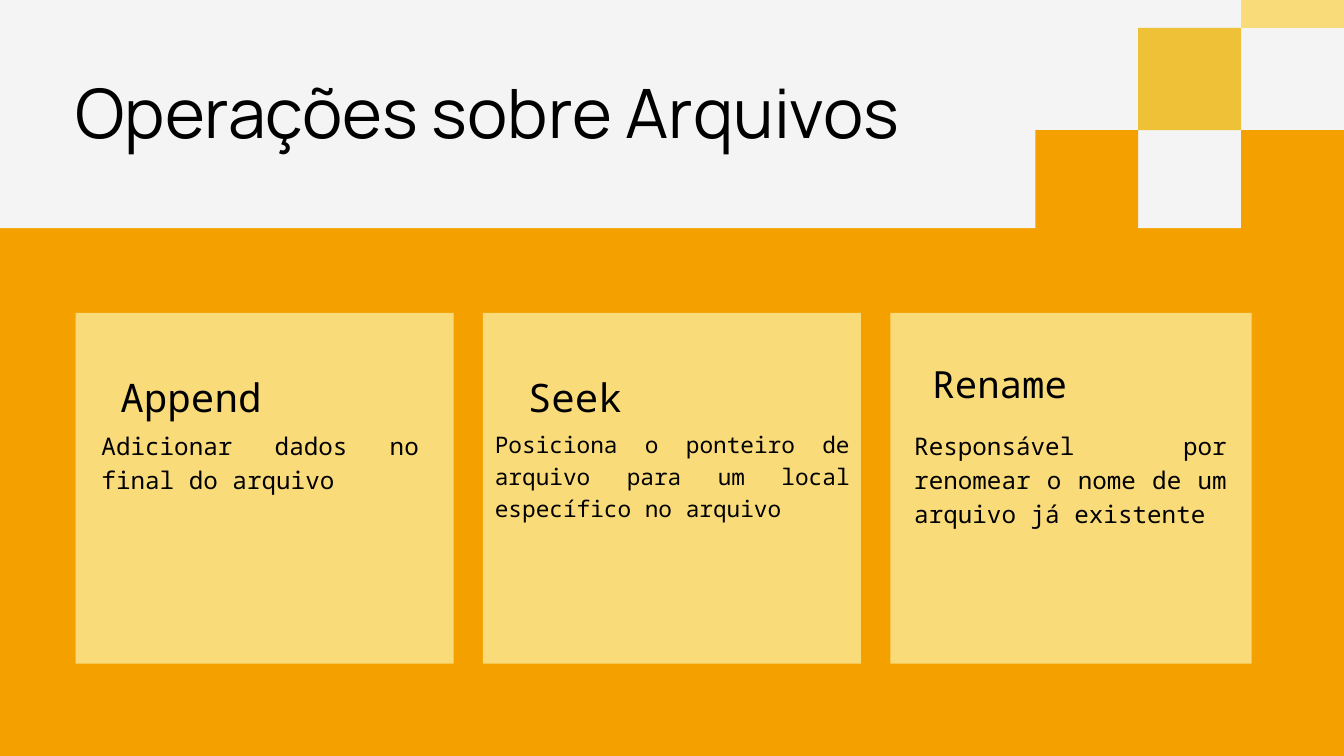
from pptx import Presentation
from pptx.dml.color import RGBColor
from pptx.enum.shapes import MSO_SHAPE
from pptx.enum.text import MSO_ANCHOR, PP_ALIGN
from pptx.util import Emu, Pt

PX = 9525
ORANGE = RGBColor(0xF4, 0xA1, 0x00)
YELLOW = RGBColor(0xFA, 0xDB, 0x7A)
GOLD = RGBColor(0xEF, 0xC1, 0x36)
PALE = RGBColor(0xF4, 0xF4, 0xF4)
BLACK = RGBColor(0x00, 0x00, 0x00)
MONO = "Noto Sans Mono"

deck = Presentation()
deck.slide_width = Emu(1920 * PX)
deck.slide_height = Emu(1080 * PX)
slide = deck.slides.add_slide(deck.slide_layouts[6])
slide.background.fill.solid()
slide.background.fill.fore_color.rgb = ORANGE


def add_box(left, top, width, height, color):
    box = slide.shapes.add_shape(
        MSO_SHAPE.RECTANGLE, *[Emu(n * PX) for n in (left, top, width, height)])
    box.shadow.inherit = False
    box.fill.solid()
    box.fill.fore_color.rgb = color
    box.line.fill.background()


def add_text(text, left, top, width, height, size, lead, font=MONO, align=PP_ALIGN.LEFT):
    box = slide.shapes.add_textbox(*[Emu(n * PX) for n in (left, top, width, height)])
    frame = box.text_frame
    frame.word_wrap = True
    frame.vertical_anchor = MSO_ANCHOR.TOP
    frame.margin_left = frame.margin_right = frame.margin_top = frame.margin_bottom = 0
    para = frame.paragraphs[0]
    para.alignment = align
    para.line_spacing = Pt(lead)
    run = para.add_run()
    run.text = text
    run.font.name = font
    run.font.size = Pt(size)
    run.font.color.rgb = BLACK


add_box(0, 0, 1920, 326, PALE)

SIDE = 147
add_box(1920 - SIDE, 0, SIDE, 40, YELLOW)
for col, row, color in [(1, 0, GOLD), (2, 1, ORANGE), (0, 1, ORANGE)]:
    add_box(1479 + col * SIDE, 40 + row * 146, SIDE, 146, color)

add_text("Operações sobre Arquivos", 108, 101, 1644, 123, 73, 87.6, font="Manrope")

cards = [
    (540, "Append", (64, 533, 413, 74, 42, 50.4),
     "Adicionar dados no final do arquivo", (37, 609, 454, 99, 26, 36.4)),
    (540, "Seek", (64, 533, 413, 74, 42, 50.4),
     "Posiciona o ponteiro de arquivo para um local específico no arquivo",
     (17, 609, 507, 138, 24.4, 34.1)),
    (516, "Rename", (60, 516, 395, 72, 40.1, 48.1),
     "Responsável por renomear o nome de um arquivo já existente",
     (34, 609, 447, 147, 26, 36.4)),
]
for i, (width, head, (inset, *place), body, (edge, *area)) in enumerate(cards):
    left = 108 + i * 582
    add_box(left, 447, width, 501, YELLOW)
    add_text(head, left + inset, *place)
    add_text(body, left + edge, *area, align=PP_ALIGN.JUSTIFY)

deck.save("out.pptx")
